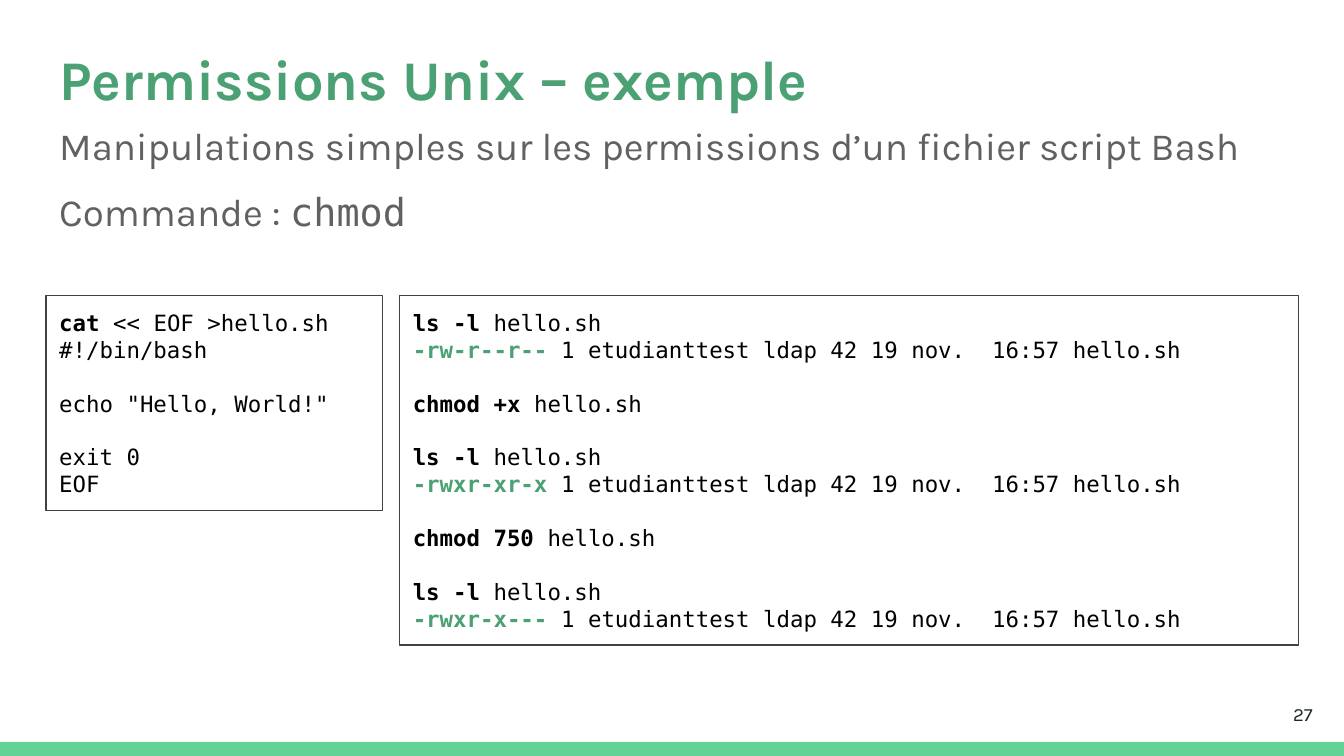
import pptx
import pptx.util
import pptx.dml.color
import pptx.enum.shapes
import pptx.enum.text

COLORS = {"green": "4BA173", "band": "63D297", "grey": "616161",
          "border": "424242", "dark": "202729", "black": "000000"}
SANS, MONO = "Karla", "DejaVu Sans Mono"
COLUMNS = 100
LINE_PT = 14.4


def rgb(name):
    return pptx.dml.color.RGBColor.from_string(COLORS[name])


def add_run(p, text, font=SANS, size=12, color="black", bold=False):
    r = p.add_run()
    r.text = text
    r.font.name = font
    r.font.size = pptx.util.Pt(size)
    r.font.color.rgb = rgb(color)
    r.font.bold = bold


class Deck:
    def __init__(self):
        self.prs = pptx.Presentation()
        self.prs.slide_width = pptx.util.Inches(10)
        self.prs.slide_height = self.prs.slide_width * 9 // 16
        self.unit = self.prs.slide_width / COLUMNS
        self.s = self.prs.slides.add_slide(self.prs.slide_layouts[5])

    def grid(self, *cells):
        return [round(cell * self.unit) for cell in cells]

    def frame(self, sp, anchor=pptx.enum.text.MSO_ANCHOR.TOP):
        tf = sp.text_frame
        tf.word_wrap = True
        tf.auto_size = pptx.enum.text.MSO_AUTO_SIZE.NONE
        tf.vertical_anchor = anchor
        inset = self.grid(1)[0]
        tf.margin_left = tf.margin_right = inset
        tf.margin_top = tf.margin_bottom = inset
        return tf

    def paragraph(self, tf, first, runs, align="LEFT", before=0, after=0, spacing=1.0):
        p = tf.paragraphs[0] if first else tf.add_paragraph()
        p.alignment = getattr(pptx.enum.text.PP_ALIGN, align)
        p.line_spacing = spacing
        p.space_before = pptx.util.Pt(before)
        p.space_after = pptx.util.Pt(after)
        for text, fmt in runs:
            add_run(p, text, **fmt)

    def title(self, text, *cells):
        sp = self.s.shapes.title
        sp.left, sp.top, sp.width, sp.height = self.grid(*cells)
        runs = [(text, dict(size=30, color="green", bold=True))]
        self.paragraph(self.frame(sp), True, runs, after=12, spacing=1.15)

    def text(self, paragraphs, *cells, anchor=pptx.enum.text.MSO_ANCHOR.TOP):
        tf = self.frame(self.s.shapes.add_textbox(*self.grid(*cells)), anchor)
        for i, (runs, layout) in enumerate(paragraphs):
            self.paragraph(tf, i == 0, runs, **layout)

    def rect(self, *cells, fill=None, line=None):
        sp = self.s.shapes.add_shape(pptx.enum.shapes.MSO_SHAPE.RECTANGLE, *self.grid(*cells))
        sp.shadow.inherit = False
        if fill:
            sp.fill.solid()
            sp.fill.fore_color.rgb = rgb(fill)
        else:
            sp.fill.background()
        if line:
            sp.line.color.rgb = rgb(line)
            sp.line.width = pptx.util.Pt(0.75)
        else:
            sp.line.fill.background()
        return sp

    def code(self, blocks, *cells):
        tf = self.frame(self.rect(*cells, line="border"))
        for b, block in enumerate(blocks):
            for n, (lead, rest, color) in enumerate(block):
                runs = [(lead, dict(font=MONO, color=color, bold=True))] if lead else []
                runs.append((rest, dict(font=MONO)))
                gap = LINE_PT if b and n == 0 else 0
                self.paragraph(tf, b == n == 0, runs, before=gap)


def listing(mode):
    return [("ls -l", " hello.sh", "black"),
            (mode, " 1 etudianttest ldap 42 19 nov.  16:57 hello.sh", "green")]


def chmod(mode):
    return [(f"chmod {mode}", " hello.sh", "black")]


def main():
    deck = Deck()
    deck.rect(0, 55.2, COLUMNS, 1.05, fill="band")
    deck.title("Permissions Unix – exemple", 3.4, 1.55, 93.2, 6.3)
    deck.text([([("27", dict(size=10, color="dark"))], dict(align="RIGHT"))],
              92.65, 51, 6, 4.3, anchor=pptx.enum.text.MSO_ANCHOR.MIDDLE)

    body = dict(size=20.6, color="grey")
    deck.text([
        ([("Manipulations simples sur les permissions d’un fichier script Bash", body)],
         dict(spacing=0.95)),
        ([("Commande : ", body), ("chmod", dict(body, font=MONO))],
         dict(spacing=0.95, before=12, after=12)),
    ], 3.42, 8.3, 93.2, 11)

    deck.code([
        [("cat", " << EOF >hello.sh", "black"), ("", "#!/bin/bash", "black")],
        [("", 'echo "Hello, World!"', "black")],
        [("", "exit 0", "black"), ("", "EOF", "black")],
    ], 3.42, 22, 25.05, 16)
    deck.code([listing("-rw-r--r--"), chmod("+x"), listing("-rwxr-xr-x"),
               chmod("750"), listing("-rwxr-x---")], 29.73, 22, 66.87, 26)

    deck.prs.save("out.pptx")


if __name__ == "__main__":
    main()
